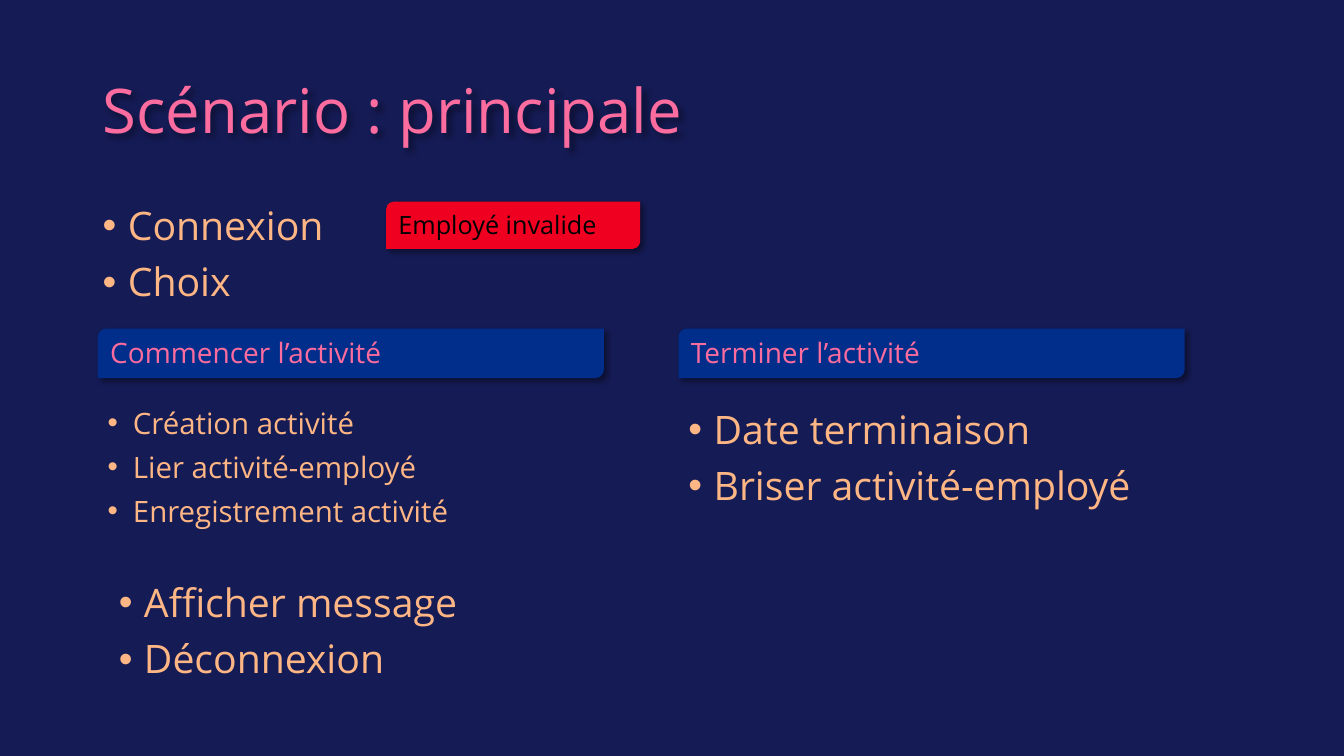
import dataclasses
import lxml.etree
import pptx
import pptx.dml.color
import pptx.enum.shapes
import pptx.enum.text
import pptx.oxml.ns
import pptx.util

Inches = pptx.util.Inches
Pt = pptx.util.Pt
qn = pptx.oxml.ns.qn


@dataclasses.dataclass(frozen=True)
class Theme:
    font: str = "Open Sans"
    back: str = "151B54"
    pink: str = "FD6C9E"
    peach: str = "FEB685"
    blue: str = "002E8A"
    red: str = "F00020"
    black: str = "000000"
    title: int = 44
    body: int = 28
    small: int = 21
    head: int = 20
    note: int = 18


THEME = Theme()


def color(code):
    return pptx.dml.color.RGBColor.from_string(code)


def add_run(para, text, size, tint):
    run = para.add_run()
    run.text = text
    run.font.name = THEME.font
    run.font.size = Pt(size)
    run.font.color.rgb = color(tint)


def add_shadow(shape):
    """Soft shadow towards the lower right."""
    shape.shadow.inherit = False
    effects = shape._element.spPr.find(qn("a:effectLst"))
    outer = lxml.etree.SubElement(
        effects, qn("a:outerShdw"), blurRad=str(Pt(4)), dist=str(Pt(3)),
        dir=str(45 * 60000), algn="tl", rotWithShape="0")
    shade = lxml.etree.SubElement(outer, qn("a:srgbClr"), val=THEME.black)
    lxml.etree.SubElement(shade, qn("a:alpha"), val="40000")


def add_text(slide, box):
    shape = slide.shapes.add_textbox(*map(Inches, box))
    shape.text_frame.word_wrap = True
    return shape


def add_title(slide, box, text):
    shape = add_text(slide, box)
    frame = shape.text_frame
    frame.vertical_anchor = pptx.enum.text.MSO_ANCHOR.MIDDLE
    para = frame.paragraphs[0]
    para.line_spacing = 0.9
    add_run(para, text, THEME.title, THEME.pink)
    add_shadow(shape)


def add_list(slide, box, items, size=THEME.body, pitch=0.9):
    frame = add_text(slide, box).text_frame
    for i, item in enumerate(items):
        para = frame.add_paragraph() if i else frame.paragraphs[0]
        para.line_spacing = pitch
        para.space_before = Pt(10)
        # Hanging bullet
        props = para._p.get_or_add_pPr()
        props.set("marL", str(Inches(0.25)))
        props.set("indent", str(-Inches(0.25)))
        lxml.etree.SubElement(props, qn("a:buFont"), typeface="Arial")
        lxml.etree.SubElement(props, qn("a:buChar"), char="•")
        add_run(para, item, size, THEME.peach)


def add_label(slide, box, text, fill, size, tint):
    shape = slide.shapes.add_shape(
        pptx.enum.shapes.MSO_SHAPE.ROUND_2_DIAG_RECTANGLE, *map(Inches, box))
    shape.fill.solid()
    shape.fill.fore_color.rgb = color(fill)
    shape.line.fill.background()
    add_shadow(shape)
    frame = shape.text_frame
    frame.word_wrap = True
    frame.vertical_anchor = pptx.enum.text.MSO_ANCHOR.TOP
    para = frame.paragraphs[0]
    para.alignment = pptx.enum.text.PP_ALIGN.LEFT
    add_run(para, text, size, tint)


def add_branch(slide, box, head, items, size, pitch):
    """Heading bar with its list of steps below."""
    left, top, width, height = box
    add_label(slide, (left, top, width, 0.49), head,
              THEME.blue, THEME.head, THEME.pink)
    add_list(slide, (left, top + 0.76, width - 0.12, height - 0.76),
             items, size, pitch)


def main():
    deck = pptx.Presentation()
    deck.slide_width = Inches(13.33)
    deck.slide_height = Inches(7.5)
    slide = deck.slides.add_slide(deck.slide_layouts[6])
    slide.background.fill.solid()
    slide.background.fill.fore_color.rgb = color(THEME.back)

    # Title and first steps
    add_title(slide, (0.92, 0.4, 11.5, 1.45), "Scénario\u00a0: principale".replace("\u00a0", " "))
    add_list(slide, (0.92, 2, 11.5, 1.15), ["Connexion", "Choix"])

    # The two branches
    branches = [
        ("Commencer l’activité",
         ["Création activité", "Lier activité-employé",
          "Enregistrement activité"], THEME.small, 0.85),
        ("Terminer l’activité",
         ["Date terminaison", "Briser activité-employé"], THEME.body, 0.9),
    ]
    for i, branch in enumerate(branches):
        add_branch(slide, (0.97 + 5.76 * i, 3.26, 5.02, 2.06), *branch)

    # Last steps and error case
    add_list(slide, (1.08, 5.74, 11.5, 1.15),
             ["Afficher message", "Déconnexion"])
    add_label(slide, (3.83, 2, 2.52, 0.47), "Employé invalide",
              THEME.red, THEME.note, THEME.black)
    deck.save("out.pptx")


if __name__ == "__main__":
    main()
